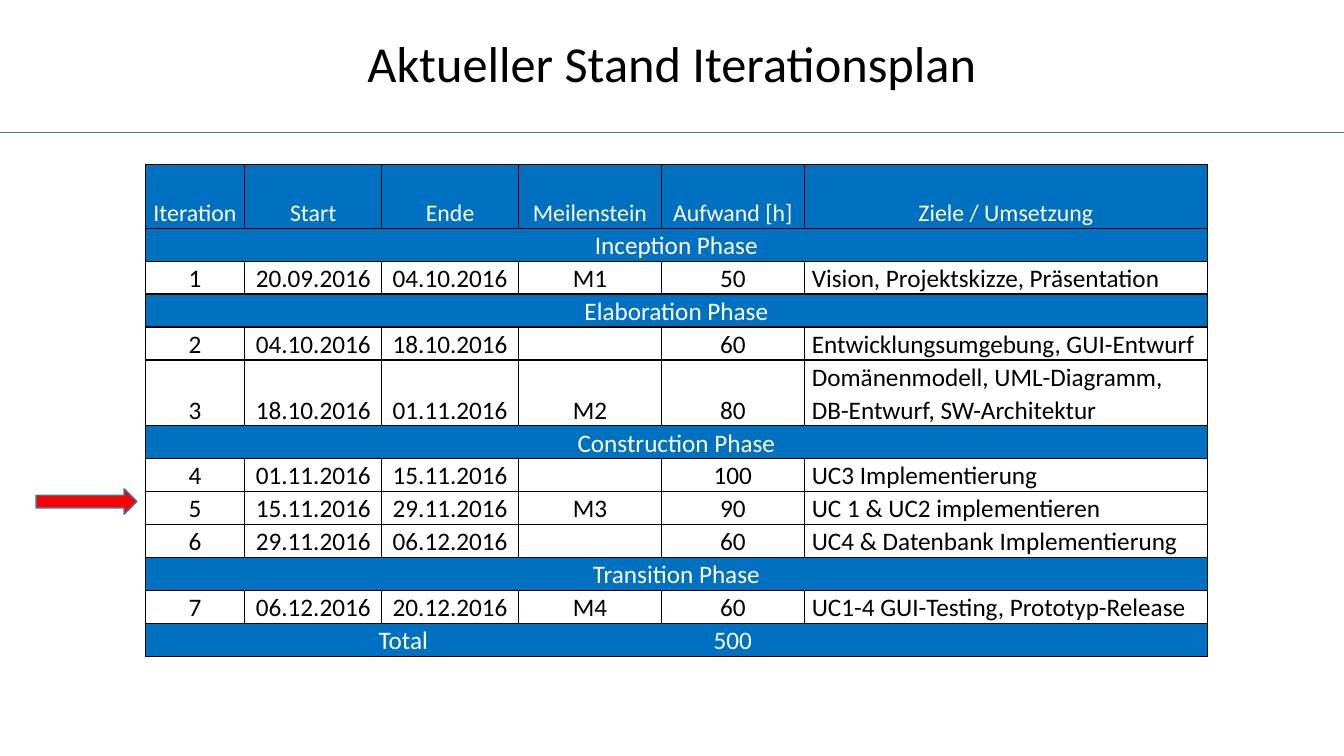
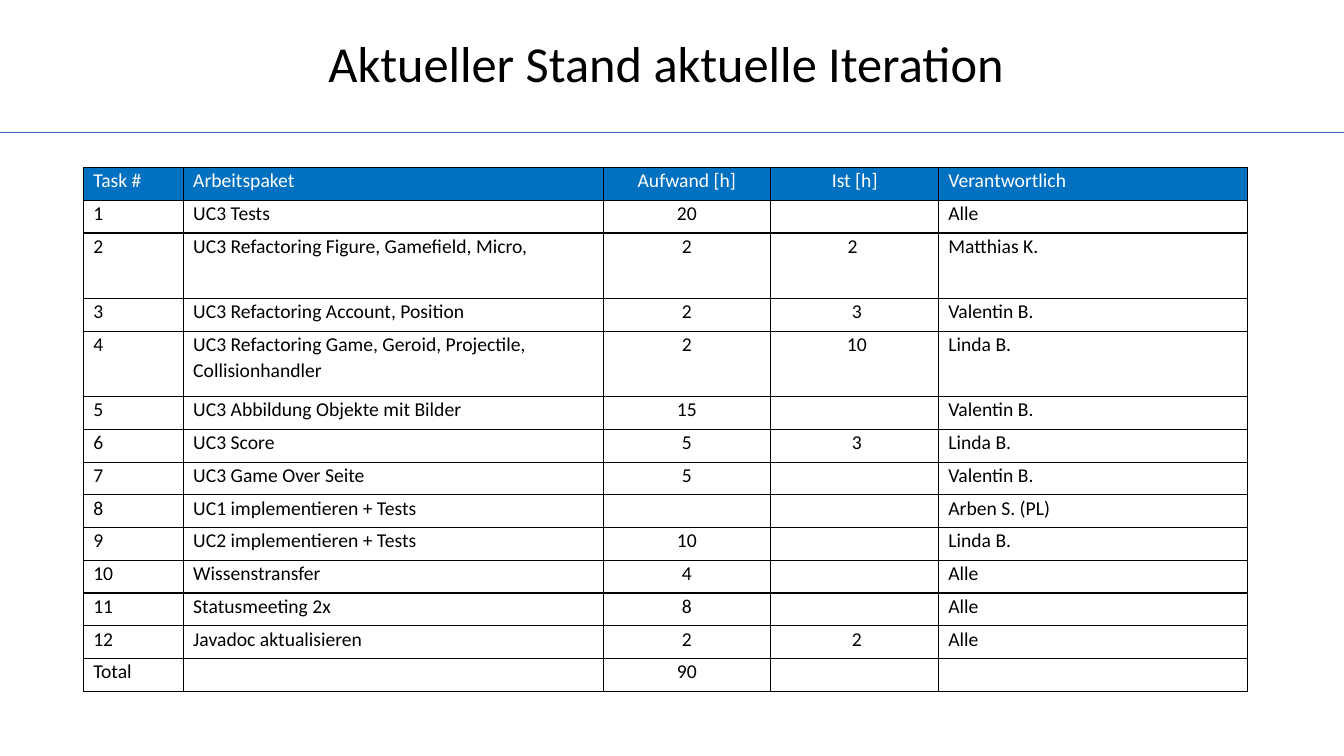
from lxml import etree
from pptx import Presentation
from pptx.dml.color import RGBColor
from pptx.enum.shapes import MSO_CONNECTOR, MSO_SHAPE
from pptx.enum.text import MSO_ANCHOR, PP_ALIGN
from pptx.oxml.ns import qn
from pptx.util import Cm, Pt

LEFT, MID = PP_ALIGN.LEFT, PP_ALIGN.CENTER
TOP, CENTER, LOW = MSO_ANCHOR.TOP, MSO_ANCHOR.MIDDLE, MSO_ANCHOR.BOTTOM
LINE, ARROW = MSO_CONNECTOR.STRAIGHT, MSO_SHAPE.RIGHT_ARROW

FONT = "Calibri"
HUES = {"black": "000000", "white": "FFFFFF", "blue": "0070C0",
        "rule": "4472C4", "red": "FF0000", "edge": "43739E"}
ALIGN = {"l": LEFT, "c": MID}
WIDE, HIGH, HEAD = 33.87, 19.05, 3.33


def hue(name):
    return RGBColor.from_string(HUES[name])


def write(frame, text, size=18, color="black", align=LEFT, space=1.07, before=0):
    para = frame.paragraphs[0]
    para.alignment = align
    para.line_spacing = space
    para.space_before = Pt(before)
    run = para.add_run()
    run.text = text
    run.font.name = FONT
    run.font.size = Pt(size)
    run.font.color.rgb = hue(color)


def border(cell, sides):
    """Draw the named sides in black and clear the others."""
    props = cell._tc.get_or_add_tcPr()
    for spot, side in enumerate("LRTB"):
        line = etree.Element(qn(f"a:ln{side}"), w=str(Pt(1)))
        if side in sides:
            fill = etree.SubElement(line, qn("a:solidFill"))
            etree.SubElement(fill, qn("a:srgbClr"), val=HUES["black"])
        else:
            etree.SubElement(line, qn("a:noFill"))
        props.insert(spot, line)


class Deck:
    def __init__(self):
        self.prs = Presentation()
        self.prs.slide_width, self.prs.slide_height = Cm(WIDE), Cm(HIGH)
        self.slide = None

    def page(self, title):
        """Start a slide with its title and the rule below it."""
        self.slide = self.prs.slides.add_slide(self.prs.slide_layouts[5])
        self.rule(HEAD)
        box = self.slide.shapes.title
        box.left, box.top, box.width, box.height = Cm(0), Cm(0), Cm(WIDE), Cm(HEAD)
        box.text_frame.vertical_anchor = CENTER
        write(box.text_frame, title, size=36, align=MID, space=0.9, before=10)

    def rule(self, y):
        line = self.slide.shapes.add_connector(LINE, Cm(0), Cm(y), Cm(WIDE), Cm(y))
        line.line.color.rgb = hue("rule")
        line.line.width = Pt(0.5)
        etree.SubElement(line._element.spPr, qn("a:effectLst"))

    def arrow(self, x, y, w, h):
        mark = self.slide.shapes.add_shape(ARROW, Cm(x), Cm(y), Cm(w), Cm(h))
        mark.shadow.inherit = False
        mark.fill.solid()
        mark.fill.fore_color.rgb = hue("red")
        mark.line.color.rgb = hue("edge")
        mark.line.width = Pt(1)

    def grid(self, x, y, cols, rows):
        """Add a plain table with the given column and row sizes."""
        frame = self.slide.shapes.add_table(
            len(rows), len(cols), Cm(x), Cm(y), Cm(sum(cols)), Cm(sum(rows)))
        table = frame.table
        table.first_row = table.horz_banding = False
        for col, size in zip(table.columns, cols):
            col.width = Cm(size)
        for row, size in zip(table.rows, rows):
            row.height = Cm(size)
        return table

    def cell(self, cell, text, inset=0.19, anchor=TOP, fill=None, sides="LRTB", **form):
        cell.margin_left = cell.margin_right = Cm(inset)
        cell.margin_top = cell.margin_bottom = 0
        cell.vertical_anchor = anchor
        border(cell, sides)
        if fill:
            cell.fill.solid()
            cell.fill.fore_color.rgb = hue(fill)
        else:
            cell.fill.background()
        if text:
            write(cell.text_frame, text, **form)


# Iteration plan: a row with one entry is a phase, the last row is the total
PLAN = [
    ["Iteration", "Start", "Ende", "Meilenstein", "Aufwand [h]", "Ziele / Umsetzung"],
    ["Inception Phase"],
    ["1", "20.09.2016", "04.10.2016", "M1", "50", "Vision, Projektskizze, Präsentation"],
    ["Elaboration Phase"],
    ["2", "04.10.2016", "18.10.2016", "", "60", "Entwicklungsumgebung, GUI-Entwurf"],
    ["3", "18.10.2016", "01.11.2016", "M2", "80",
     "Domänenmodell, UML-Diagramm, DB-Entwurf, SW-Architektur"],
    ["Construction Phase"],
    ["4", "01.11.2016", "15.11.2016", "", "100", "UC3 Implementierung"],
    ["5", "15.11.2016", "29.11.2016", "M3", "90", "UC 1 & UC2 implementieren"],
    ["6", "29.11.2016", "06.12.2016", "", "60", "UC4 & Datenbank Implementierung"],
    ["Transition Phase"],
    ["7", "06.12.2016", "20.12.2016", "M4", "60", "UC1-4 GUI-Testing, Prototyp-Release"],
    ["Total", "", "", "", "500", ""],
]

TASKS = [
    ["Task #", "Arbeitspaket", "Aufwand [h]", "Ist [h]", "Verantwortlich"],
    ["1", "UC3 Tests", "20", "", "Alle"],
    ["2", "UC3 Refactoring Figure, Gamefield, Micro,", "2", "2 ", "Matthias K."],
    ["3", "UC3 Refactoring Account, Position", "2", " 3", "Valentin B."],
    ["4", "UC3 Refactoring Game, Geroid, Projectile, Collisionhandler",
     "2", " 10", "Linda B."],
    ["5", "UC3 Abbildung Objekte mit Bilder", "15", "", "Valentin B."],
    ["6", "UC3 Score", "5", " 3", "Linda B."],
    ["7", "UC3 Game Over Seite", "5", "", "Valentin B."],
    ["8", "UC1 implementieren + Tests", "", "", "Arben S. (PL)"],
    ["9", "UC2 implementieren + Tests", "10", "", "Linda B."],
    ["10", "Wissenstransfer", "4", "", "Alle"],
    ["11", "Statusmeeting 2x", "8", "", "Alle"],
    ["12", "Javadoc aktualisieren", "2", " 2", "Alle"],
    ["Total", "", "90", "", ""],
]


def plan(deck):
    deck.page("Aktueller Stand Iterationsplan")
    unit, last, end = 0.83, len(PLAN) - 1, len(PLAN[0]) - 1
    rows = [1.6] + [unit] * last
    rows[5] = 2 * unit
    table = deck.grid(3.66, 4.15, [2.51, 3.45, 3.45, 3.6, 3.6, 10.16], rows)
    for r, row in enumerate(PLAN):
        phase, total = len(row) == 1, r == last
        band = phase or total or r == 0
        if phase or total:
            table.cell(r, 0).merge(table.cell(r, end if phase else 3))
        for c, text in enumerate(row + [""] * (end + 1 - len(row))):
            sides = "LRTB"
            if phase or total:
                sides = ("TB" + "L" * (c == 0)
                         + "R" * (c == end or (phase and c == 0)))
            deck.cell(table.cell(r, c), text, anchor=LOW, sides=sides,
                      fill="blue" if band else None,
                      color="white" if band else "black",
                      size=18 if r else 17,
                      align=LEFT if c == end and not band else MID)
    # Current iteration
    deck.arrow(0.91, 12.32, 2.54, 0.64)


def tasks(deck):
    deck.page("Aktueller Stand aktuelle Iteration ")
    units = [2 if r in (2, 4) else 1 for r in range(len(TASKS))]
    rows = [13.2 * u / sum(units) for u in units]
    table = deck.grid(2.11, 4.22, [2.52, 10.57, 4.22, 4.24, 7.77], rows)
    for r, row in enumerate(TASKS):
        for c, text in enumerate(row):
            deck.cell(table.cell(r, c), text, inset=0.24, size=14,
                      fill=None if r else "blue",
                      color="black" if r else "white",
                      align=ALIGN["llccl"[c]])


def main():
    deck = Deck()
    plan(deck)
    tasks(deck)
    deck.prs.save("out.pptx")


if __name__ == "__main__":
    main()
